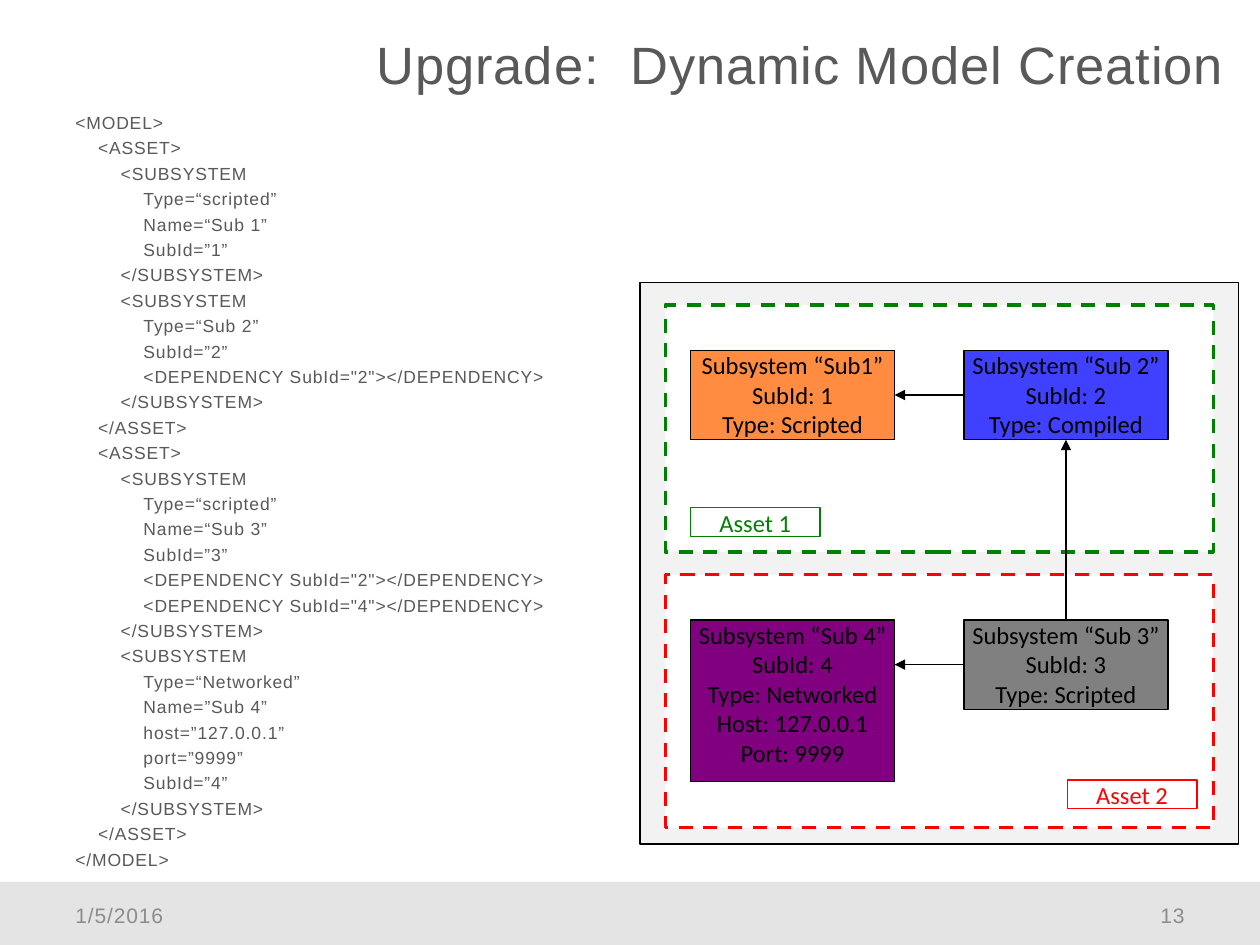
import pptx
import pptx.dml.color
import pptx.enum.dml
import pptx.enum.shapes
import pptx.enum.text
import pptx.oxml.ns
import pptx.util
from dataclasses import dataclass
from lxml import etree

Inches, Pt = pptx.util.Inches, pptx.util.Pt
ALIGN = pptx.enum.text.PP_ALIGN
ANCHOR = pptx.enum.text.MSO_ANCHOR
RECT = pptx.enum.shapes.MSO_SHAPE.RECTANGLE
DASH = pptx.enum.dml.MSO_LINE.DASH

HEX = dict(
    text="595959", muted="8C8C8C", band="E4E4E4", panel="C0C0C0",
    white="FFFFFF", black="000000", green="008000", red="FF0000",
    orange="FF6600", blue="0000FF", purple="800080", gray="808080",
)
WIDE, HIGH = 10, 7.5
COLS = (5.48, 7.65)  # left edges of the subsystem columns
ROWS = (2.78, 4.92)  # top edges of the subsystem rows
BOX_W, BOX_H = 1.62, 0.71
TAG_W, TAG_H = 1.03, 0.23
STEP = 0.18  # indent of one nesting level

CODE = """\
<MODEL>
    <ASSET>
        <SUBSYSTEM
            Type=“scripted”
            Name=“Sub 1”
            SubId=”1”
        </SUBSYSTEM>
        <SUBSYSTEM
            Type=“Sub 2”
            SubId=”2”
            <DEPENDENCY SubId="2"></DEPENDENCY>
        </SUBSYSTEM>
    </ASSET>
    <ASSET>
        <SUBSYSTEM
            Type=“scripted”
            Name=“Sub 3”
            SubId=”3”
            <DEPENDENCY SubId="2"></DEPENDENCY>
            <DEPENDENCY SubId="4"></DEPENDENCY>
        </SUBSYSTEM>
        <SUBSYSTEM
            Type=“Networked”
            Name=”Sub 4”
            host=”127.0.0.1”
            port=”9999”
            SubId=”4”
        </SUBSYSTEM>
    </ASSET>
</MODEL>"""


@dataclass
class Box:
    left: float
    top: float
    width: float
    height: float
    fill: str
    line: str | None = "black"
    text: str = ""
    ink: str = "black"
    alpha: int = 100
    weight: float = 0.75
    dash: bool = False


@dataclass
class Sub:
    col: int
    row: int
    fill: str
    text: str
    height: float = BOX_H
    alpha: int = 100


SUBS = {
    1: Sub(0, 0, "orange", "Subsystem “Sub1”\nSubId: 1\nType: Scripted", alpha=75),
    2: Sub(1, 0, "blue", "Subsystem “Sub 2”\nSubId: 2\nType: Compiled", alpha=75),
    3: Sub(1, 1, "gray", "Subsystem “Sub 3”\nSubId: 3\nType: Scripted"),
    4: Sub(0, 1, "purple", "Subsystem “Sub 4”\nSubId: 4\nType: Networked\n"
           "Host: 127.0.0.1\nPort: 9999", height=1.28),
}
FRAMES = (
    Box(0, 7, WIDE, 0.5, "band", line=None),
    Box(5.08, 2.24, 4.75, 4.46, "panel", alpha=20),
    Box(5.28, 2.42, 4.35, 1.96, "white", "green", weight=2, dash=True),
    Box(5.28, 4.56, 4.35, 2.01, "white", "red", weight=2, dash=True),
    Box(COLS[0], 4.03, TAG_W, TAG_H, "white", "green", "Asset 1", "green"),
    Box(8.47, 6.19, TAG_W, TAG_H, "white", "red", "Asset 2", "red"),
)


def shade(name: str) -> pptx.dml.color.RGBColor:
    return pptx.dml.color.RGBColor.from_string(HEX[name])


def style(para, size: float, ink: str, face: str = "Arial", gap: int = 0) -> None:
    """Set the paragraph's font; gap is letter spacing in 1/100 pt."""
    font = para.font
    font.size, font.name = Pt(size), face
    font.color.rgb = shade(ink)
    if gap:
        para._p.pPr.find(pptx.oxml.ns.qn("a:defRPr")).set("spc", str(gap))


def draw_box(slide, box: Box):
    shape = slide.shapes.add_shape(
        RECT, *map(Inches, (box.left, box.top, box.width, box.height)))
    shape.shadow.inherit = False
    shape.fill.solid()
    shape.fill.fore_color.rgb = shade(box.fill)
    if box.alpha < 100:
        color = shape._element.spPr.find(".//" + pptx.oxml.ns.qn("a:srgbClr"))
        etree.SubElement(color, pptx.oxml.ns.qn("a:alpha"), val=str(box.alpha * 1000))
    if box.line:
        shape.line.color.rgb = shade(box.line)
        shape.line.width = Pt(box.weight)
    else:
        shape.line.fill.background()
    if box.dash:
        shape.line.dash_style = DASH
    if box.text:
        frame = shape.text_frame
        frame.margin_left = frame.margin_right = 0
        frame.margin_top = frame.margin_bottom = 0
        frame.vertical_anchor = ANCHOR.TOP
        frame.text = box.text
        for para in frame.paragraphs:
            para.alignment = ALIGN.CENTER
            style(para, 14, box.ink, "Calibri")
    return shape


def draw_sub(slide, sub: Sub):
    return draw_box(slide, Box(COLS[sub.col], ROWS[sub.row], BOX_W, sub.height,
                               sub.fill, text=sub.text, alpha=sub.alpha))


def draw_arrow(slide, start, side: int, end: tuple[float, float]):
    line = slide.shapes.add_connector(
        pptx.enum.shapes.MSO_CONNECTOR.STRAIGHT, 0, 0, *map(Inches, end))
    line.begin_connect(start, side)
    line.line.color.rgb = shade("black")
    line.line.width = Pt(0.75)
    etree.SubElement(line.line._get_or_add_ln(), pptx.oxml.ns.qn("a:tailEnd"),
                     type="triangle")
    etree.SubElement(line._element.spPr, pptx.oxml.ns.qn("a:effectLst"))
    return line


def add_text(slide, left: float, top: float, width: float, height: float):
    frame = slide.shapes.add_textbox(
        *map(Inches, (left, top, width, height))).text_frame
    frame.word_wrap = True
    return frame


def add_title(slide) -> None:
    title = slide.shapes.title
    title.left, title.top = Inches(2.89), Inches(0.07)
    title.width, title.height = Inches(7.11), Inches(0.77)
    frame = title.text_frame
    frame.text = "Upgrade:  Dynamic Model Creation"
    frame.vertical_anchor = ANCHOR.MIDDLE
    para = frame.paragraphs[0]
    para.alignment, para.line_spacing = ALIGN.LEFT, 1.2
    style(para, 30, "text", gap=50)


def add_code(slide) -> None:
    frame = add_text(slide, 0.5, 0.84, 4.42, 6.21)
    rows = CODE.splitlines()
    frame.text = "\n".join(row.strip() for row in rows)
    for para, row in zip(frame.paragraphs, rows):
        depth = (len(row) - len(row.lstrip())) // 4
        para.space_before = Pt(2.5)
        style(para, 10, "text", gap=50)
        para._p.pPr.set("marL", str(Inches(depth * STEP)))


def add_foot(slide, left: float, text: str, align) -> None:
    frame = add_text(slide, left, 7.06, 2.33, 0.4)
    frame.vertical_anchor = ANCHOR.MIDDLE
    frame.text = text
    frame.paragraphs[0].alignment = align
    style(frame.paragraphs[0], 12, "muted", gap=50)


def main() -> None:
    deck = pptx.Presentation()
    deck.slide_width, deck.slide_height = Inches(WIDE), Inches(HIGH)
    slide = deck.slides.add_slide(deck.slide_layouts.get_by_name("Title Only"))
    for box in FRAMES:
        draw_box(slide, box)
    add_title(slide)
    add_code(slide)
    add_foot(slide, 0.5, "1/5/2016", ALIGN.LEFT)
    add_foot(slide, 7.17, "13", ALIGN.RIGHT)

    subs = {key: draw_sub(slide, sub) for key, sub in SUBS.items()}
    edge = COLS[0] + BOX_W
    draw_arrow(slide, subs[2], 1, (edge, ROWS[0])).end_connect(subs[1], 3)
    draw_arrow(slide, subs[3], 1, (edge, ROWS[1] + BOX_H / 2))
    draw_arrow(slide, subs[3], 0, (COLS[1], ROWS[0])).end_connect(subs[2], 2)
    deck.save("out.pptx")


if __name__ == "__main__":
    main()
